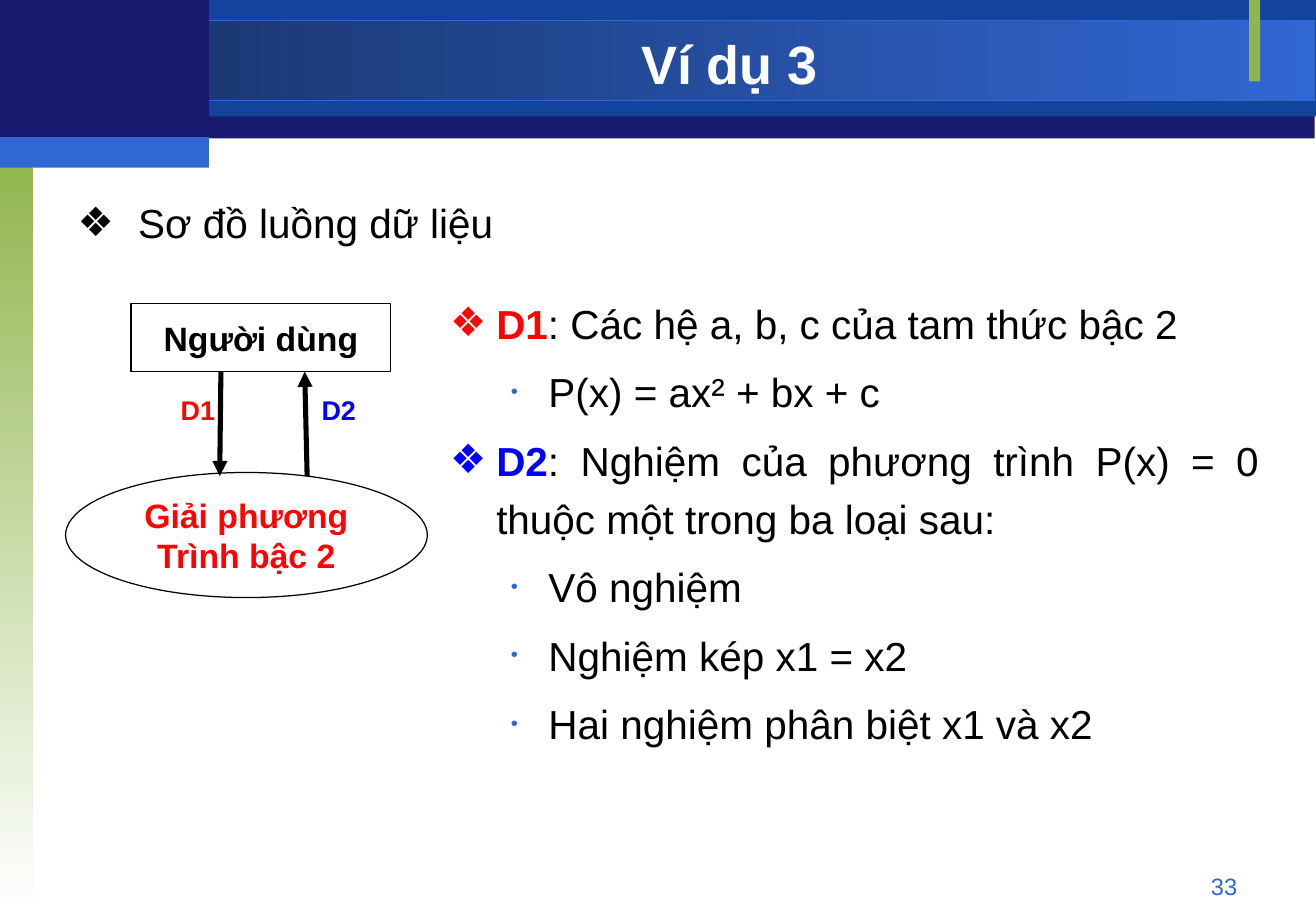
from pptx import Presentation
from pptx import util as u
from pptx.dml import color
from pptx.enum import shapes, text
from pptx.oxml import ns
from lxml import etree

BLACK, WHITE, RED, BLUE = "000000", "FFFFFF", "FF0303", "0000FF"
NAVY, ROYAL, SKY, GREEN = "1A1A70", "12449E", "3167D3", "90B54D"
LEFT, MID, RIGHT = text.PP_ALIGN.LEFT, text.PP_ALIGN.CENTER, text.PP_ALIGN.RIGHT
TOP, CORE = text.MSO_ANCHOR.TOP, text.MSO_ANCHOR.MIDDLE


def hue(code):
    return color.RGBColor.from_string(code)


def write(shape, paras, size, align=LEFT, anchor=TOP, wrap=True):
    frame = shape.text_frame
    frame.word_wrap = wrap
    frame.vertical_anchor = anchor
    for i, (mark, runs) in enumerate(paras):
        para = frame.add_paragraph() if i else frame.paragraphs[0]
        para.alignment = align
        if mark:
            sign, tint, scale, left, hang = mark
            props = para._p.get_or_add_pPr()
            props.set("marL", str(u.Inches(left)))
            props.set("indent", str(-u.Inches(hang)))
            tone = etree.SubElement(props, ns.qn("a:buClr"))
            etree.SubElement(tone, ns.qn("a:srgbClr"), val=tint)
            etree.SubElement(props, ns.qn("a:buSzPct"), val=str(scale * 1000))
            etree.SubElement(props, ns.qn("a:buFont"), typeface="Arial")
            etree.SubElement(props, ns.qn("a:buChar"), char=sign)
            para.alignment = text.PP_ALIGN.JUSTIFY
            para.line_spacing = 1.2
            if i:
                para.space_before = u.Pt(6)
        for words, tint, bold in runs:
            run = para.add_run()
            run.text = words
            run.font.name = "Arial"
            run.font.size = u.Pt(size)
            run.font.bold = bold
            run.font.color.rgb = hue(tint)


deck = Presentation()
deck.slide_width = u.Inches(10.84)
deck.slide_height = u.Inches(7.5)
slide = deck.slides.add_slide(deck.slide_layouts[6])
items = slide.shapes

bars = [
    (0, 0.01, 10.83, 1.13, [NAVY], 0, None),
    (1.72, 0, 9.12, 0.96, [ROYAL], 0, None),
    (0, 0.17, 10.83, 0.66, ["173062", SKY], 0, SKY),
    (0, 1.25, 0.27, 6.25, [GREEN, WHITE], 270, None),
    (10.29, 0, 0.09, 0.67, [GREEN], 0, None),
    (0, 0, 1.72, 1.17, [NAVY], 0, None),
    (0, 1.13, 1.72, 0.25, [SKY], 0, None),
]
for *box, tints, angle, edge in bars:
    bar = items.add_shape(shapes.MSO_SHAPE.RECTANGLE, *map(u.Inches, box))
    bar.shadow.inherit = False
    if len(tints) == 1:
        bar.fill.solid()
        bar.fill.fore_color.rgb = hue(tints[0])
    else:
        bar.fill.gradient()
        bar.fill.gradient_angle = angle
        for stop, tint, place in zip(bar.fill.gradient_stops, tints, (0, 1)):
            stop.color.rgb = hue(tint)
            stop.position = place
    if edge:
        bar.line.color.rgb = hue(edge)
        bar.line.width = u.Pt(0.75)
    else:
        bar.line.fill.background()

dot = ("•", SKY, 50, 0.81, 0.31)
flows = [
    (("❖", RED, 100, 0.38, 0.38),
     [("D1", RED, True), (": Các hệ a, b, c của tam thức bậc 2", BLACK, False)]),
    (dot, [("P(x) = ax² + bx + c", BLACK, False)]),
    (("❖", BLUE, 100, 0.38, 0.38),
     [("D2", BLUE, True),
      (": Nghiệm của phương trình P(x) = 0 thuộc một trong ba loại sau:", BLACK, False)]),
]
for case in ("Vô nghiệm", "Nghiệm kép x1 = x2", "Hai nghiệm phân biệt x1 và x2"):
    flows.append((dot, [(case, BLACK, False)]))
topic = [(("❖", BLACK, 100, 0.5, 0.5), [("Sơ đồ luồng dữ liệu", BLACK, False)])]

notes = [
    (7.76, 7.13, 2.53, 0.27, [(None, [("33", SKY, False)])], 14, RIGHT, TOP, True),
    (1.72, 0.23, 8.58, 0.58, [(None, [("Ví dụ 3", WHITE, True)])], 32, MID, CORE, True),
    (0.54, 1.5, 8.31, 0.83, topic, 24, LEFT, TOP, True),
    (3.61, 2.33, 6.86, 4.5, flows, 24, LEFT, TOP, True),
    (1.39, 3.19, 0.48, 0.37, [(None, [("D1", RED, True)])], 16, LEFT, TOP, False),
    (2.55, 3.19, 0.48, 0.37, [(None, [("D2", BLUE, True)])], 16, LEFT, TOP, False),
]
for x, y, w, h, *rest in notes:
    write(items.add_textbox(*map(u.Inches, (x, y, w, h))), *rest)

nodes = [
    (shapes.MSO_SHAPE.RECTANGLE, (1.08, 2.5, 2.14, 0.56), ["Người dùng"], BLACK),
    (shapes.MSO_SHAPE.OVAL, (0.54, 3.89, 2.98, 1.03), ["Giải phương", "Trình bậc 2"], RED),
]
for kind, box, lines, tint in nodes:
    node = items.add_shape(kind, *map(u.Inches, box))
    node.shadow.inherit = False
    node.fill.background()
    node.line.color.rgb = hue(BLACK)
    node.line.width = u.Pt(0.75)
    write(node, [(None, [(line, tint, True)]) for line in lines], 20, MID, CORE, False)

for ends in ((1.82, 3.06, 1.81, 3.92), (2.53, 3.92, 2.51, 3.06)):
    arrow = items.add_connector(shapes.MSO_CONNECTOR.STRAIGHT, *map(u.Inches, ends))
    arrow.line.color.rgb = hue(BLACK)
    arrow.line.width = u.Pt(3)
    etree.SubElement(arrow.line._get_or_add_ln(), ns.qn("a:tailEnd"), type="triangle")
    etree.SubElement(arrow._element.spPr, ns.qn("a:effectLst"))

deck.save("out.pptx")
